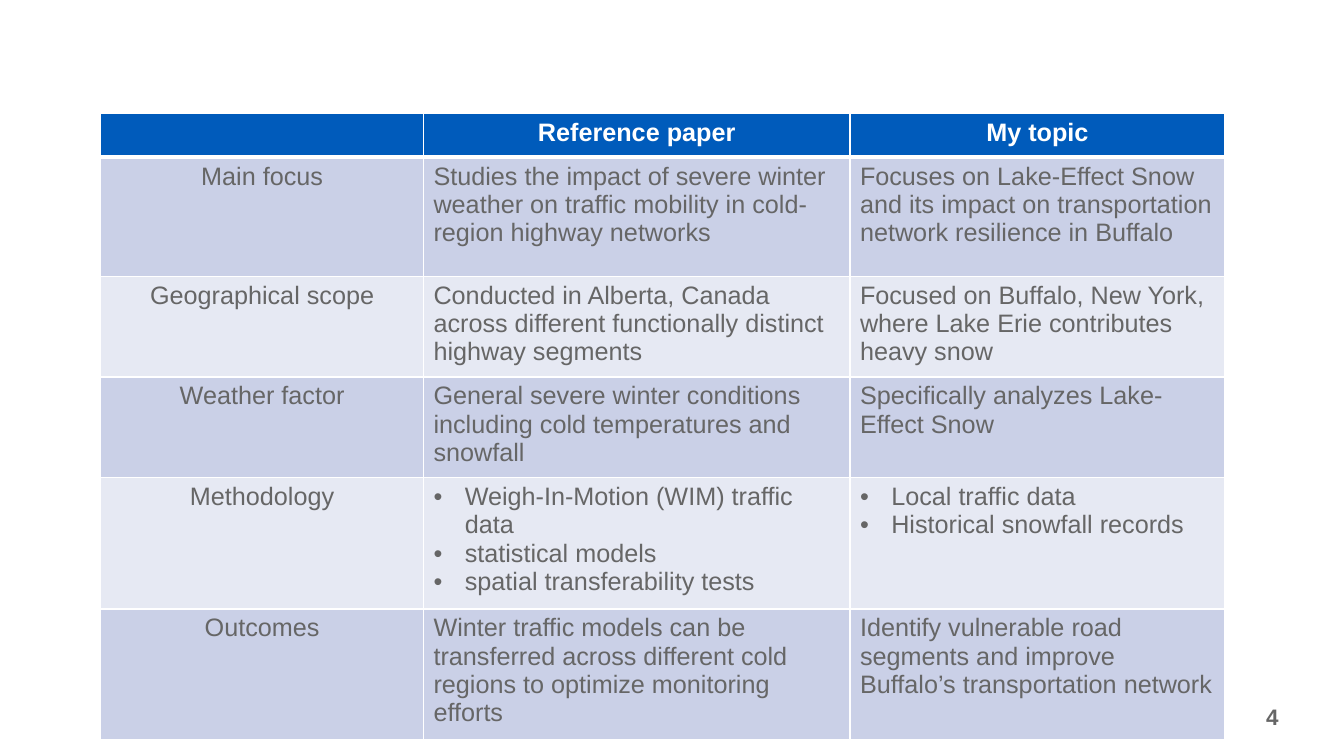
from dataclasses import dataclass

from pptx import Presentation
from pptx.dml.color import RGBColor as Rgb
from pptx.enum.text import MSO_ANCHOR as Anchor, PP_ALIGN as Align
from pptx.oxml import parse_xml
from pptx.oxml.ns import nsdecls
from pptx.util import Pt

PX = 9144


@dataclass(frozen=True)
class Theme:
    """Colours and type sizes of the slide."""
    font: str = "Arial"
    ink: str = "666666"
    white: str = "FFFFFF"
    header: str = "005BBB"
    bands: tuple = ("CAD0E7", "E6E9F3")
    table_size: int = 18
    number_size: int = 16
    rule: int = 1
    header_rule: int = 3


THEME = Theme()
COLUMN_WIDTHS = (320, 423, 372)
ROW_HEIGHTS = (43, 118, 99, 91, 122, 118)
HEADINGS = ("", "Reference paper", "My topic")
COMPARISON = (
    ("Main focus",
     ["Studies the impact of severe winter weather on traffic mobility in cold-region highway networks"],
     ["Focuses on Lake-Effect Snow and its impact on transportation network resilience in Buffalo"]),
    ("Geographical scope",
     ["Conducted in Alberta, Canada", "across different functionally distinct highway segments"],
     ["Focused on Buffalo, New York, where Lake Erie contributes heavy snow"]),
    ("Weather factor",
     ["General severe winter conditions including cold temperatures and snowfall"],
     ["Specifically analyzes Lake-Effect Snow"]),
    ("Methodology",
     ["Weigh-In-Motion (WIM) traffic data", "statistical models", "spatial transferability tests"],
     ["Local traffic data", "Historical snowfall records"]),
    ("Outcomes",
     ["Winter traffic models can be transferred across different cold regions to optimize monitoring efforts"],
     ["Identify vulnerable road segments and improve Buffalo’s transportation network"]),
)
BULLETED = "Methodology"


def px(length):
    """Turn pixels into EMU."""
    return length * PX


def add_run(paragraph, wording, size, color, bold=False):
    """Add one formatted run."""
    run = paragraph.add_run()
    run.text = wording
    run.font.name = THEME.font
    run.font.size = Pt(size)
    run.font.bold = bold
    run.font.color.rgb = Rgb.from_string(color)


def add_bullet(paragraph):
    """Give a paragraph a hanging round bullet."""
    properties = paragraph._p.get_or_add_pPr()
    properties.set("marL", str(px(31)))
    properties.set("indent", str(px(-31)))
    for mark in (f'<a:buClr {nsdecls("a")}><a:srgbClr val="{THEME.ink}"/></a:buClr>',
                 f'<a:buFont {nsdecls("a")} typeface="{THEME.font}"/>',
                 f'<a:buChar {nsdecls("a")} char="•"/>'):
        properties.append(parse_xml(mark))


def set_borders(cell, top, bottom):
    """Draw white borders around a cell."""
    properties = cell._tc.get_or_add_tcPr()
    weights = {"L": THEME.rule, "R": THEME.rule, "T": top, "B": bottom}
    for side, weight in weights.items():
        properties.append(parse_xml(
            f'<a:ln{side} {nsdecls("a")} w="{Pt(weight)}"><a:solidFill>'
            f'<a:srgbClr val="{THEME.white}"/></a:solidFill></a:ln{side}>'))


def fill_cell(cell, lines, fill, color, align, bold=False, bulleted=False):
    """Colour a cell and write its paragraphs."""
    cell.fill.solid()
    cell.fill.fore_color.rgb = Rgb.from_string(fill)
    for index, line in enumerate(lines):
        frame = cell.text_frame
        paragraph = frame.add_paragraph() if index else frame.paragraphs[0]
        paragraph.alignment = align
        if bulleted:
            add_bullet(paragraph)
        if line:
            add_run(paragraph, line, THEME.table_size, color, bold)


def add_comparison(slide):
    """Add the table that compares the paper with the topic."""
    comparison = slide.shapes.add_table(
        len(ROW_HEIGHTS), len(COLUMN_WIDTHS), px(100), px(113),
        px(sum(COLUMN_WIDTHS)), px(sum(ROW_HEIGHTS))).table
    for column, width in zip(comparison.columns, COLUMN_WIDTHS):
        column.width = px(width)
    for index, (row, height) in enumerate(zip(comparison.rows, ROW_HEIGHTS)):
        row.height = px(height)
        for cell in row.cells:
            set_borders(cell, THEME.header_rule if index == 1 else THEME.rule,
                        THEME.header_rule if index == 0 else THEME.rule)
    for column, heading in enumerate(HEADINGS):
        fill_cell(comparison.cell(0, column), [heading], THEME.header,
                  THEME.white, Align.CENTER, bold=True)
    for index, (aspect, *answers) in enumerate(COMPARISON):
        band = THEME.bands[index % 2]
        fill_cell(comparison.cell(index + 1, 0), [aspect], band, THEME.ink, Align.CENTER)
        for column, answer in enumerate(answers, 1):
            fill_cell(comparison.cell(index + 1, column), answer, band, THEME.ink,
                      Align.LEFT, bulleted=aspect == BULLETED)


def add_page_number(slide, number):
    """Add the page number at the lower right."""
    frame = slide.shapes.add_textbox(px(828), px(691), px(450), px(40)).text_frame
    frame.word_wrap = True
    frame.vertical_anchor = Anchor.MIDDLE
    paragraph = frame.paragraphs[0]
    paragraph.alignment = Align.RIGHT
    add_run(paragraph, number, THEME.number_size, THEME.ink, bold=True)


def main():
    """Build and save the slide."""
    deck = Presentation()
    deck.slide_width, deck.slide_height = px(1333), px(750)
    slide = deck.slides.add_slide(deck.slide_layouts[6])
    add_page_number(slide, "4")
    add_comparison(slide)
    deck.save("out.pptx")


if __name__ == "__main__":
    main()
